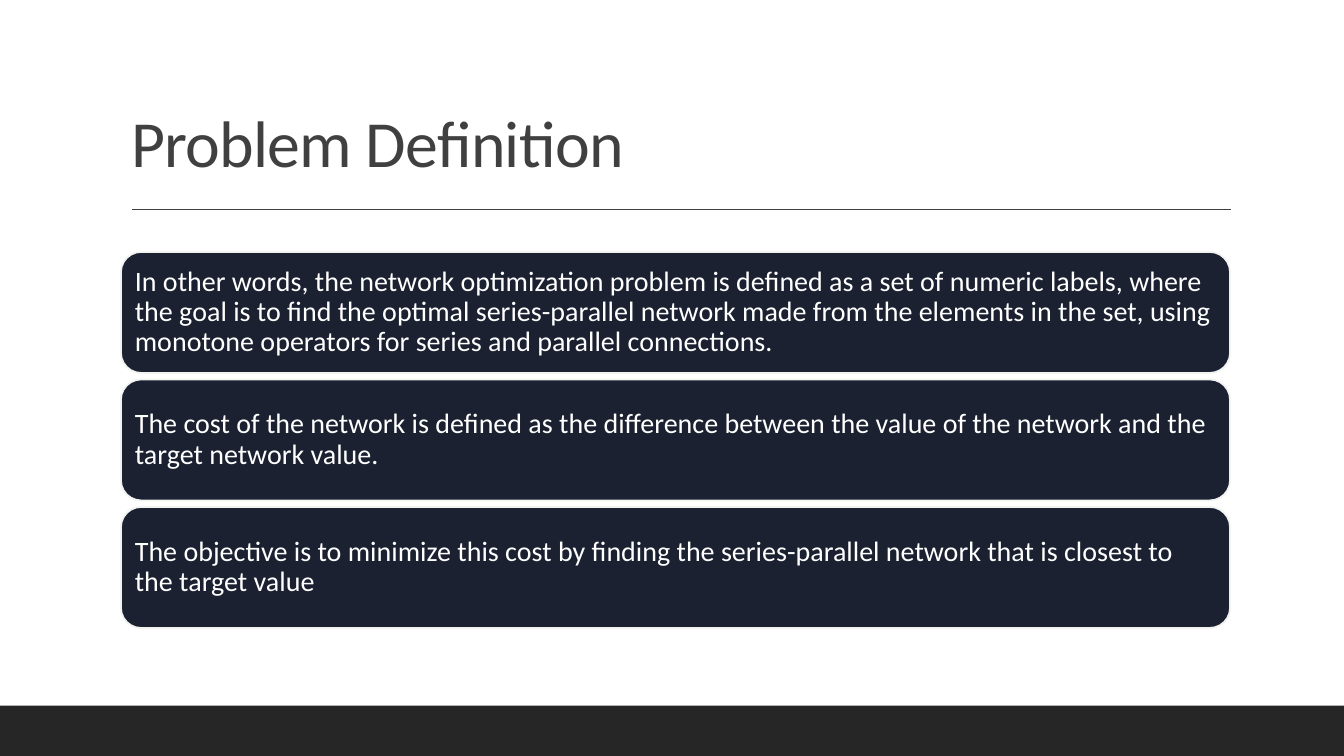
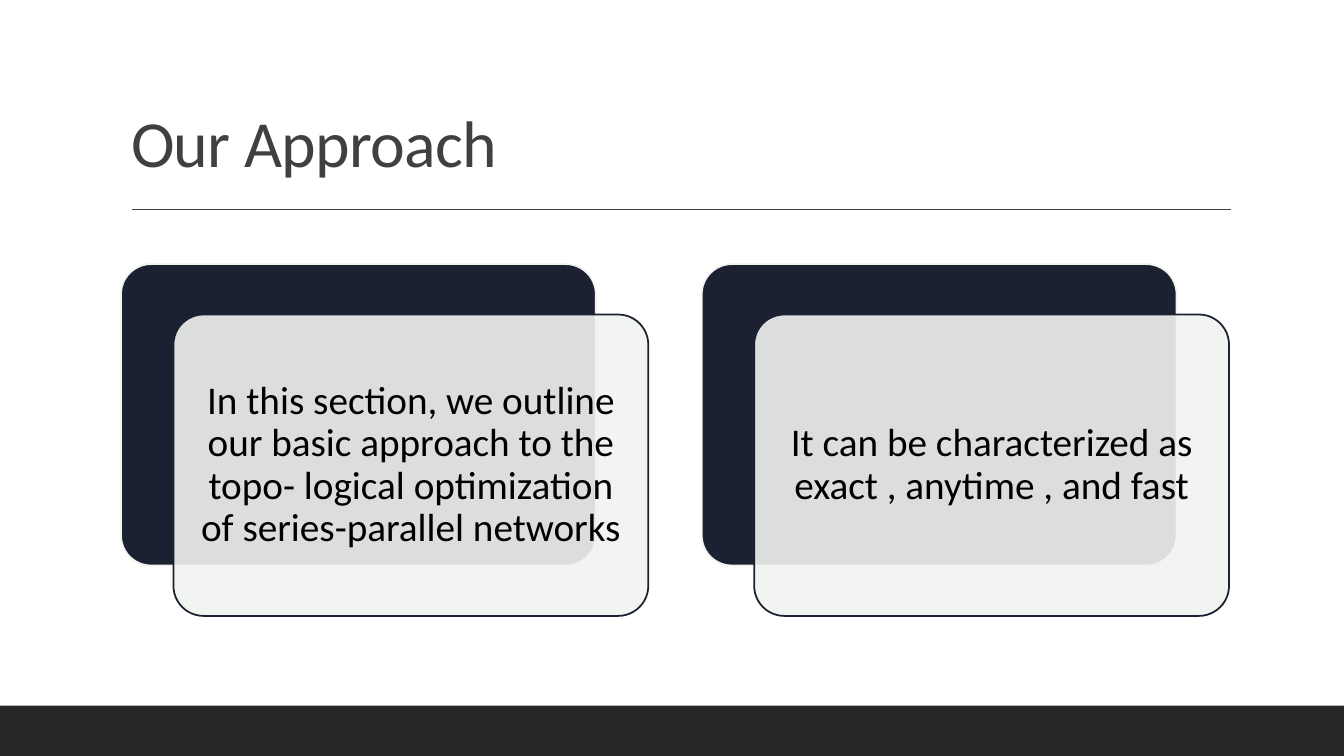
from lxml.etree import SubElement
from pptx import Presentation
from pptx.dml.color import RGBColor
from pptx.enum.shapes import MSO_CONNECTOR, MSO_SHAPE
from pptx.enum.text import MSO_ANCHOR, MSO_AUTO_SIZE, PP_ALIGN
from pptx.oxml.ns import qn
from pptx.util import Inches, Pt

WHITE = RGBColor(0xFF, 0xFF, 0xFF)
BLACK = RGBColor(0x00, 0x00, 0x00)
TITLE_GREY = RGBColor(0x40, 0x40, 0x40)
BAND_GREY = RGBColor(0x26, 0x26, 0x26)
NAVY = RGBColor(0x1B, 0x21, 0x30)
MIST = RGBColor(0xF1, 0xF3, 0xF0)

TITLE_STYLE = dict(size=47, color=TITLE_GREY, align=PP_ALIGN.LEFT, after=0,
                   anchor=MSO_ANCHOR.BOTTOM, margin=0.1)
STATEMENT_STYLE = dict(size=20, color=WHITE, align=PP_ALIGN.LEFT, after=7,
                       anchor=MSO_ANCHOR.MIDDLE, margin=0.08)
CARD_STYLE = dict(size=28, color=BLACK, align=PP_ALIGN.CENTER, after=9.8,
                  anchor=MSO_ANCHOR.MIDDLE, margin=0.12)

STATEMENTS = [
    "In other words, the network optimization problem is defined as a set of numeric labels, "
    "where the goal is to find the optimal series-parallel network made from the elements in "
    "the set, using monotone operators for series and parallel connections.",
    "The cost of the network is defined as the difference between the value of the network "
    "and the target network value.",
    "The objective is to minimize this cost by finding the series-parallel network that is "
    "closest to the target value",
]
APPROACH = [
    "In this section, we outline our basic approach to the topo- logical optimization of "
    "series-parallel networks",
    "It can be characterized as exact , anytime , and fast",
]


def write_text(shape, text, style):
    frame = shape.text_frame
    frame.text = text
    paragraph = frame.paragraphs[0]
    margin = Inches(style["margin"])
    formats = [
        (frame, dict(word_wrap=True, auto_size=MSO_AUTO_SIZE.NONE,
                     vertical_anchor=style["anchor"], margin_left=margin,
                     margin_right=margin, margin_top=margin, margin_bottom=margin)),
        (paragraph, dict(alignment=style["align"], line_spacing=0.9,
                         space_before=Pt(0), space_after=Pt(style["after"]))),
        (paragraph.runs[0].font, dict(name="Calibri", size=Pt(style["size"]))),
    ]
    for target, values in formats:
        for attribute, value in values.items():
            setattr(target, attribute, value)
    paragraph.runs[0].font.color.rgb = style["color"]


def add_panel(slide, kind, box, fill, outline=None):
    panel = slide.shapes.add_shape(kind, *map(Inches, box))
    panel.shadow.inherit = False
    panel.fill.solid()
    panel.fill.fore_color.rgb = fill
    if outline is None:
        panel.line.fill.background()
    else:
        panel.line.color.rgb = outline
        panel.line.width = Pt(1.25)
    return panel


deck = Presentation()
deck.slide_width = Inches(13.33)
deck.slide_height = Inches(7.5)

slides = []
for heading in ["Problem Definition", "Our Approach"]:
    slide = deck.slides.add_slide(deck.slide_layouts[5])
    slide.background.fill.solid()
    slide.background.fill.fore_color.rgb = WHITE

    title = slide.shapes.title
    for side, length in dict(left=1.2, top=0.31, width=11, height=1.59).items():
        setattr(title, side, Inches(length))
    write_text(title, heading, TITLE_STYLE)
    title.text_frame.paragraphs[0].runs[0].font._element.set("spc", "-50")

    rule = slide.shapes.add_connector(MSO_CONNECTOR.STRAIGHT, Inches(1.31), Inches(2.08),
                                      Inches(12.21), Inches(2.08))
    rule.line.color.rgb = TITLE_GREY
    rule.line.width = Pt(1)
    SubElement(rule._element.spPr, qn("a:effectLst"))

    add_panel(slide, MSO_SHAPE.RECTANGLE, (0, 7, 13.33, 0.5), BAND_GREY)
    slides.append(slide)

problem_slide, approach_slide = slides

STATEMENT_PITCH = 1.265
for row, statement in enumerate(STATEMENTS):
    box = (1.2, 2.5 + row * STATEMENT_PITCH, 11, 1.2)
    bar = add_panel(problem_slide, MSO_SHAPE.ROUNDED_RECTANGLE, box, NAVY, MIST)
    write_text(bar, statement, STATEMENT_STYLE)

CARD_WIDTH, CARD_HEIGHT = 4.71, 2.99
CARD_PITCH = 5.76
for column, point in enumerate(APPROACH):
    left = 1.2 + column * CARD_PITCH
    back = add_panel(approach_slide, MSO_SHAPE.ROUNDED_RECTANGLE,
                     (left, 2.62, CARD_WIDTH, CARD_HEIGHT), NAVY, MIST)
    front = add_panel(approach_slide, MSO_SHAPE.ROUNDED_RECTANGLE,
                      (left + 0.52, 3.12, CARD_WIDTH, CARD_HEIGHT), MIST, NAVY)
    for card in (back, front):
        card.adjustments[0] = 0.1
    tint = front._element.spPr.find(qn("a:solidFill")).find(qn("a:srgbClr"))
    SubElement(tint, qn("a:alpha"), val="90000")
    write_text(front, point, CARD_STYLE)

deck.save("out.pptx")
